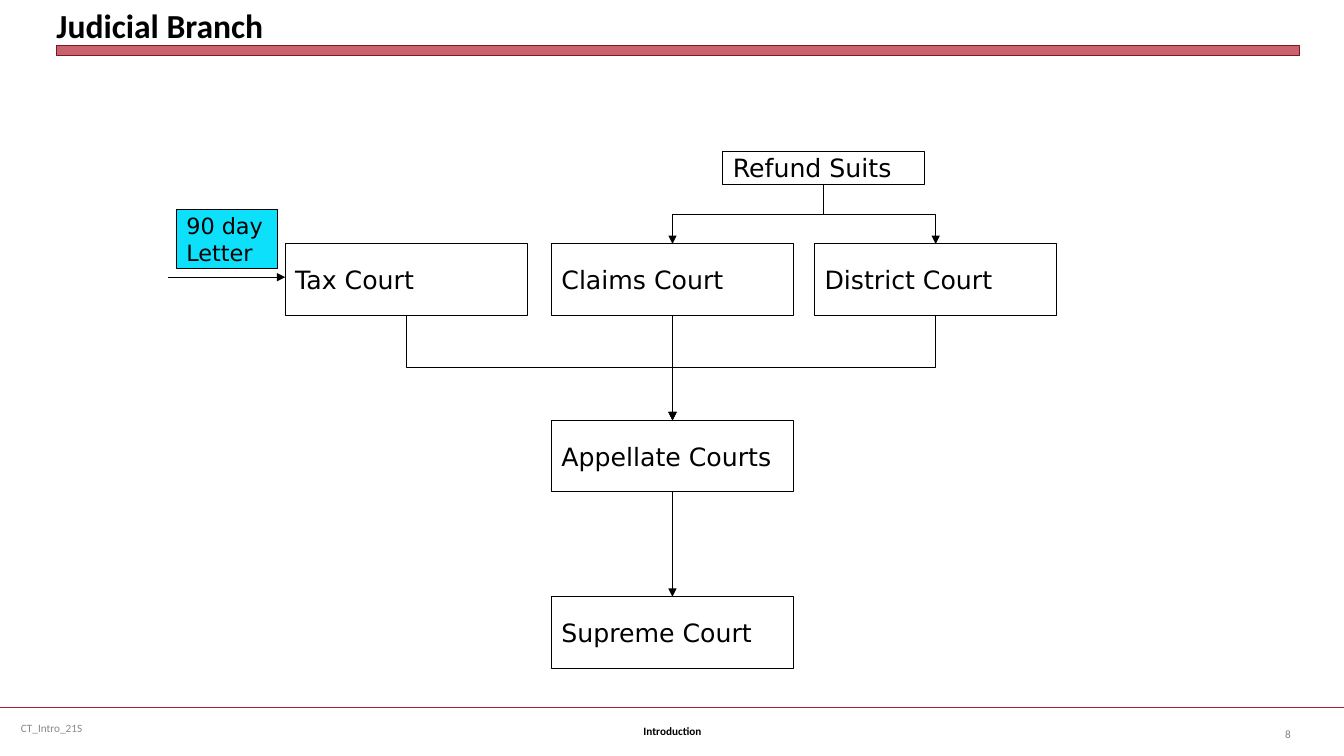
from dataclasses import dataclass

from pptx import Presentation
from pptx.dml.color import RGBColor
from pptx.enum.shapes import MSO_CONNECTOR, MSO_SHAPE
from pptx.enum.text import MSO_ANCHOR, PP_ALIGN
from pptx.oxml.ns import qn
from pptx.util import Inches, Pt
from lxml import etree

STRAIGHT, ELBOW = MSO_CONNECTOR.STRAIGHT, MSO_CONNECTOR.ELBOW
RECTANGLE = MSO_SHAPE.RECTANGLE
MIDDLE, BOTTOM = MSO_ANCHOR.MIDDLE, MSO_ANCHOR.BOTTOM
LEFT, CENTER, RIGHT = PP_ALIGN.LEFT, PP_ALIGN.CENTER, PP_ALIGN.RIGHT
TOP_SITE, BOTTOM_SITE = 0, 2


@dataclass(frozen=True)
class Theme:
    heading_font: str = "Calibri"
    chart_font: str = "DejaVu Sans"
    black: str = "000000"
    red: str = "B01C2E"
    dark_red: str = "821522"
    cyan: str = "0CE0FB"
    footer_gray: str = "898989"
    number_gray: str = "808080"
    title_size: int = 24
    court_size: int = 18
    letter_size: int = 16
    footer_size: int = 8
    thin: float = 0.75
    rule: float = 1.25


THEME = Theme()


def color(value):
    return RGBColor.from_string(value)


def write(shape, text, size, font=THEME.heading_font, ink=THEME.black, bold=False,
          align=LEFT, anchor=MIDDLE, wrap=True, inset=None):
    frame = shape.text_frame
    frame.word_wrap = wrap
    frame.vertical_anchor = anchor
    if inset is not None:
        for side in ("left", "top", "right", "bottom"):
            setattr(frame, f"margin_{side}", Inches(inset))
    for index, line in enumerate(text.split("\n")):
        paragraph = frame.add_paragraph() if index else frame.paragraphs[0]
        paragraph.text = line
        paragraph.alignment = align
        for name, value in {"name": font, "size": Pt(size), "bold": bold}.items():
            setattr(paragraph.font, name, value)
        paragraph.font.color.rgb = color(ink)


def add_label(slide, box, text, size, **formats):
    write(slide.shapes.add_textbox(*map(Inches, box)), text, size, **formats)


def add_rectangle(slide, box, fill=None, line=THEME.black, width=THEME.thin):
    shape = slide.shapes.add_shape(RECTANGLE, *map(Inches, box))
    shape.shadow.inherit = False
    if fill:
        shape.fill.solid()
        shape.fill.fore_color.rgb = color(fill)
    else:
        shape.fill.background()
    shape.line.color.rgb = color(line)
    shape.line.width = Pt(width)
    return shape


def add_line(slide, kind, points, ink=THEME.black, width=THEME.thin, arrow=True):
    line = slide.shapes.add_connector(kind, *map(Inches, points))
    line.line.color.rgb = color(ink)
    line.line.width = Pt(width)
    properties = line._element.spPr
    if arrow:
        etree.SubElement(properties.find(qn("a:ln")), qn("a:tailEnd"), type="triangle")
    etree.SubElement(properties, qn("a:effectLst"))
    return line


def join_down(slide, upper, lower):
    """Arrow from the bottom of one box to the top of another."""
    start_x, end_x = upper.left + upper.width // 2, lower.left + lower.width // 2
    start_y, end_y = upper.top + upper.height, lower.top
    straight = start_x == end_x
    line = add_line(slide, STRAIGHT if straight else ELBOW, (0, 0, 1, 1))
    line.begin_connect(upper, BOTTOM_SITE)
    line.end_connect(lower, TOP_SITE)
    if straight:
        return
    # An elbow that leaves downwards is a turned one
    drop, reach = end_y - start_y, abs(end_x - start_x)
    line.left = (start_x + end_x - drop) // 2
    line.top = (start_y + end_y - reach) // 2
    line.width, line.height = drop, reach
    to_right = end_x > start_x
    transform = line._element.spPr.find(qn("a:xfrm"))
    transform.set("rot", str((270 if to_right else 90) * 60000))
    transform.set("flipH", "1" if to_right else "0")


def add_header(slide, box):
    left, top, width, height = box
    add_label(slide, box, "Judicial Branch", THEME.title_size, bold=True,
              anchor=BOTTOM, inset=0)
    bar = add_rectangle(slide, (left, top + height, width, 0.1),
                        THEME.red, THEME.dark_red, 0)
    fill_color = bar._element.spPr.find(qn("a:solidFill"))[0]
    etree.SubElement(fill_color, qn("a:alpha"), val="69000")


def add_footer(slide, box):
    left, top, width, height = box
    size = THEME.footer_size
    add_line(slide, STRAIGHT, (left, top, left + width, top),
             THEME.red, THEME.rule, arrow=False)
    add_label(slide, (left + 0.11, top, 3.44, height), "CT_Intro_21S", size,
              ink=THEME.footer_gray)
    add_label(slide, (left + 4.56, top + 0.03, 4.22, height), "Introduction", size,
              bold=True, align=CENTER)
    add_label(slide, (left + 12.23, top + 0.06, 0.67, height), "8", size,
              ink=THEME.number_gray, align=RIGHT)


def add_court_chart(slide, box):
    left, top, _, _ = box
    court_width, court_height = 2.4, 0.71
    row_pitch = 1.75
    first_row = top + 0.92
    columns = {"tax": left + 1.16, "claims": left + 3.8, "district": left + 6.41}

    # Courts, each in a column and a row
    courts = {}
    for name, column, row in (
        ("Tax Court", "tax", 0),
        ("Claims Court", "claims", 0),
        ("District Court", "district", 0),
        ("Appellate Courts", "claims", 1),
        ("Supreme Court", "claims", 2),
    ):
        place = (columns[column], first_row + row * row_pitch, court_width, court_height)
        courts[name] = add_rectangle(slide, place)
        write(courts[name], name, THEME.court_size, THEME.chart_font)

    # Ways into the courts
    refund = add_rectangle(slide, (left + 5.5, top, 2, 0.33))
    write(refund, "Refund Suits", THEME.court_size, THEME.chart_font, wrap=False)
    letter = add_rectangle(slide, (left + 0.08, top + 0.58, 1, 0.58), THEME.cyan)
    write(letter, "90 day\nLetter", THEME.letter_size, THEME.chart_font, wrap=False)
    add_line(slide, STRAIGHT, (left, top + 1.25, columns["tax"], top + 1.25))

    # Paths between the courts
    for name in ("Claims Court", "District Court"):
        join_down(slide, refund, courts[name])
    for name in ("Tax Court", "Claims Court", "District Court"):
        join_down(slide, courts[name], courts["Appellate Courts"])
    join_down(slide, courts["Appellate Courts"], courts["Supreme Court"])


def main():
    presentation = Presentation()
    presentation.slide_width = Inches(13.33)
    presentation.slide_height = Inches(7.5)
    slide = presentation.slides.add_slide(presentation.slide_layouts[6])
    add_header(slide, (0.56, 0.05, 12.33, 0.4))
    add_court_chart(slide, (1.67, 1.5, 8.81, 5.13))
    add_footer(slide, (0, 7.02, 13.33, 0.4))
    presentation.save("out.pptx")


if __name__ == "__main__":
    main()
